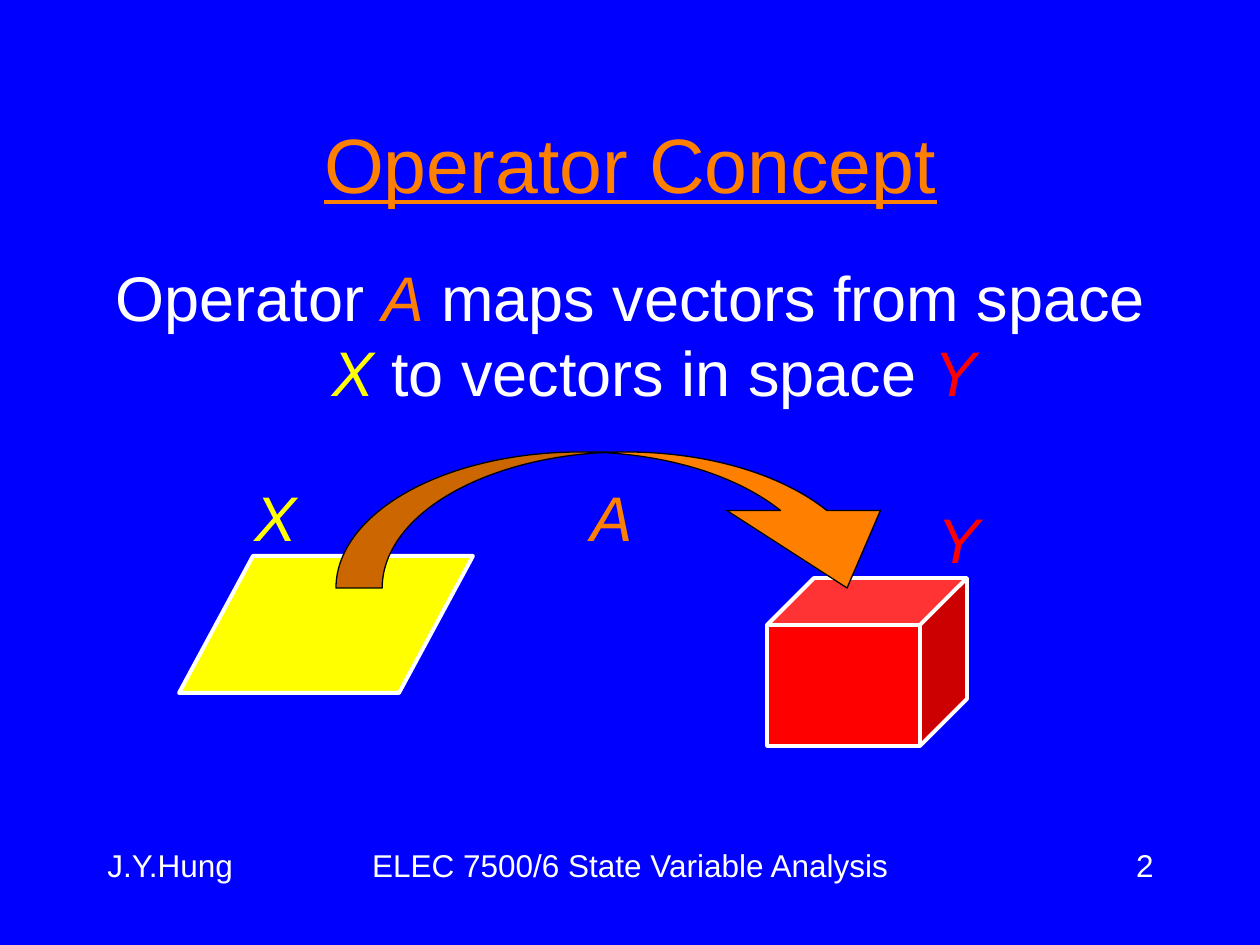
from pptx import Presentation
from pptx.dml.color import RGBColor
from pptx.enum.shapes import MSO_SHAPE
from pptx.enum.text import MSO_ANCHOR, PP_ALIGN
from pptx.util import Emu, Pt

LEFT, CENTER, RIGHT = PP_ALIGN.LEFT, PP_ALIGN.CENTER, PP_ALIGN.RIGHT
TOP, MIDDLE = MSO_ANCHOR.TOP, MSO_ANCHOR.MIDDLE
PARALLELOGRAM, CUBE = MSO_SHAPE.PARALLELOGRAM, MSO_SHAPE.CUBE
CURVED_ARROW = MSO_SHAPE.CURVED_DOWN_ARROW

WHITE, BLACK, BLUE = "FFFFFF", "000000", "0000FF"
ORANGE, YELLOW, RED = "FF8000", "FFFF00", "FF0000"


def px(n):
    return Emu(round(n * 914400 / 126))


def rgb(value):
    return RGBColor.from_string(value)


class Deck:
    """Slide style and the slide being drawn."""

    font = "Arial"
    leading = 1.2

    def __init__(self, prs, background):
        self.s = prs.slides.add_slide(prs.slide_layouts[5])
        self.s.background.fill.solid()
        self.s.background.fill.fore_color.rgb = rgb(background)

    def add_runs(self, sp, runs, size, align, anchor=TOP, wrap=True):
        tf = sp.text_frame
        tf.word_wrap = wrap
        tf.vertical_anchor = anchor
        p = tf.paragraphs[0]
        p.alignment = align
        p.line_spacing = Pt(round(size * self.leading, 1))
        for text, color, italic in runs:
            r = p.add_run()
            r.text = text
            r.font.name = self.font
            r.font.size = Pt(size)
            r.font.italic = italic
            r.font.color.rgb = rgb(color)
        return p

    def title(self, text, color, x, y, w, h):
        sp = self.s.shapes.title
        sp.left, sp.top, sp.width, sp.height = map(px, (x, y, w, h))
        p = self.add_runs(sp, [(text, color, False)], 44, CENTER, MIDDLE)
        p.runs[0].font.underline = True

    def text(self, runs, x, y, w, h, size=36, align=LEFT, wrap=True, hanging=0):
        sp = self.s.shapes.add_textbox(*map(px, (x, y, w, h)))
        p = self.add_runs(sp, runs, size, align, wrap=wrap)
        if hanging:
            pPr = p._p.get_or_add_pPr()
            pPr.set("marL", str(px(hanging)))
            pPr.set("indent", str(-px(hanging)))

    def label(self, text, color, x, y):
        self.text([(text, color, True)], x, y, 67, 88, wrap=False)

    def shape(self, kind, x, y, w, h, fill, line, weight, *adjustments):
        sp = self.s.shapes.add_shape(kind, *map(px, (x, y, w, h)))
        sp.shadow.inherit = False
        sp.fill.solid()
        sp.fill.fore_color.rgb = rgb(fill)
        sp.line.color.rgb = rgb(line)
        sp.line.width = Pt(weight)
        for i, value in enumerate(adjustments):
            sp.adjustments[i] = value


def main():
    prs = Presentation()
    prs.slide_width, prs.slide_height = px(1260), px(945)
    deck = Deck(prs, BLUE)

    deck.title("Operator Concept", ORANGE, 95, 84, 1071, 158)
    deck.text([
        ("Operator ", WHITE, False),
        ("A", ORANGE, True),
        (" maps vectors from space ", WHITE, False),
        ("X", YELLOW, True),
        (" to vectors in space ", WHITE, False),
        ("Y", RED, True),
    ], 95, 252, 1071, 567, align=CENTER, hanging=47)

    deck.shape(PARALLELOGRAM, 179, 556, 294, 137, YELLOW, WHITE, 2.25, 0.54)
    deck.shape(CUBE, 767, 578, 200, 168, RED, WHITE, 2.25, 0.28)
    deck.shape(CURVED_ARROW, 336, 452, 588, 136, ORANGE, BLACK, 0.75,
               0.34, 1.13, 0.57)

    for text, color, x, y in (("X", YELLOW, 242, 472),
                              ("Y", RED, 925, 494),
                              ("A", ORANGE, 578, 472)):
        deck.label(text, color, x, y)

    for text, x, w, align in (
            ("J.Y.Hung", 95, 157, LEFT),
            ("ELEC 7500/6 State Variable Analysis", 294, 672, CENTER),
            ("2", 1071, 95, RIGHT)):
        deck.text([(text, WHITE, False)], x, 840, w, 63, 18, align)

    prs.save("out.pptx")


if __name__ == "__main__":
    main()
